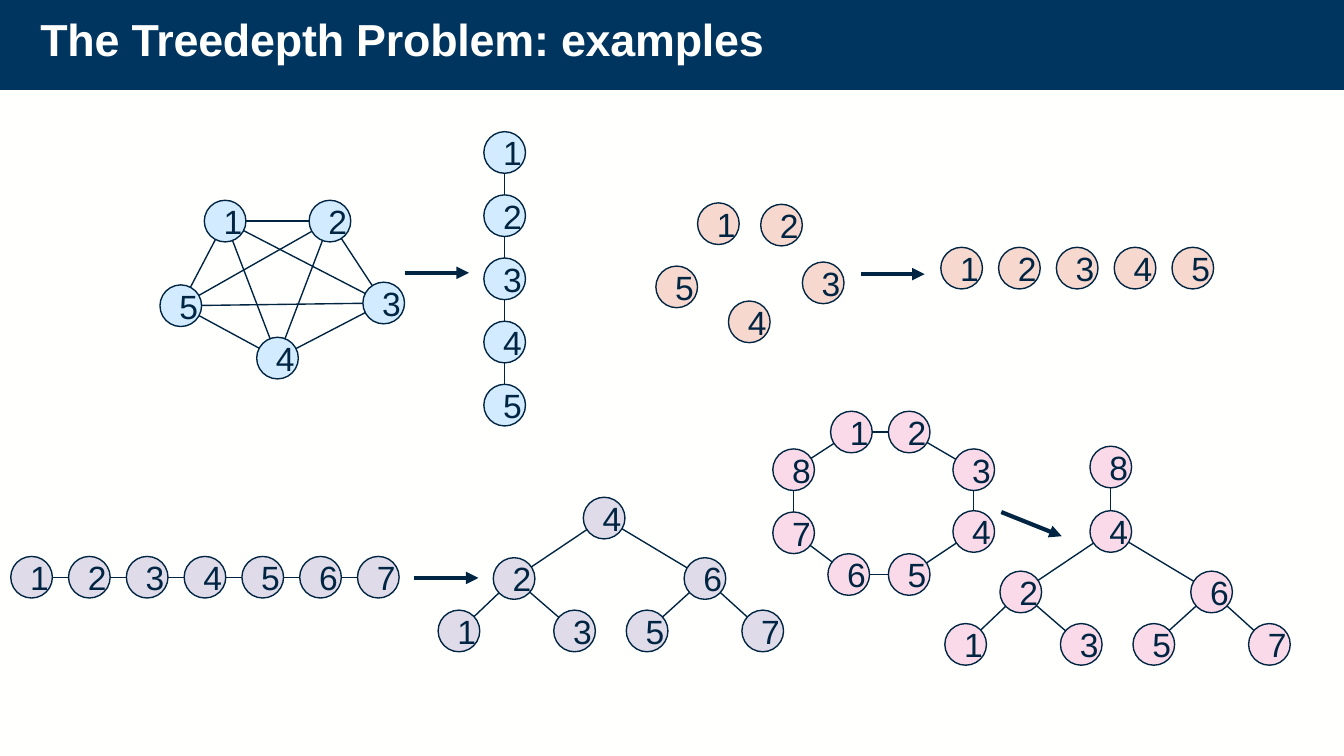
from itertools import combinations

from lxml import etree
from pptx import Presentation
from pptx.dml.color import RGBColor
from pptx.enum import shapes, text
from pptx.oxml import ns
from pptx.util import Inches, Pt

WHITE = RGBColor(0xFF, 0xFF, 0xFE)
NAVY = RGBColor(0x00, 0x35, 0x60)
INK = RGBColor(0x00, 0x25, 0x42)
BLUE = RGBColor(0xD3, 0xEB, 0xFF)
PEACH = RGBColor(0xF7, 0xD8, 0xCF)
LILAC = RGBColor(0xDF, 0xDB, 0xE9)
PINK = RGBColor(0xFA, 0xDA, 0xE8)

TITLE = "The Treedepth Problem: examples"
FONT = "Arial"
NODE_SIZE = 0.31
ROW_STEP = 0.43
STACK_STEP = 0.47

# Node positions are the top left corners of the circles, by label.
CLIQUE = {1: (1.52, 1.49), 2: (2.3, 1.49), 3: (2.7, 2.1), 4: (1.91, 2.51), 5: (1.19, 2.12)}
ISOLATED = {1: (5.19, 1.51), 2: (5.66, 1.52), 3: (5.97, 1.95), 4: (5.42, 2.24), 5: (4.88, 1.98)}
CYCLE = {1: (6.18, 3.06), 2: (6.61, 3.06), 3: (7.09, 3.34), 4: (7.09, 3.8),
         5: (6.61, 4.12), 6: (6.16, 4.12), 7: (5.75, 3.81), 8: (5.75, 3.34)}
TREE = {1: (0, 0.84), 2: (0.41, 0.45), 3: (0.86, 0.84), 4: (1.08, 0),
        5: (1.4, 0.84), 6: (1.83, 0.45), 7: (2.26, 0.84)}
TREE_EDGES = [(4, 2), (4, 6), (2, 1), (2, 3), (6, 5), (6, 7)]

ARROWS = [
    ((3.01, 2.03), (3.49, 2.03)),
    ((6.41, 2.04), (6.88, 2.04)),
    ((3.08, 4.3), (3.56, 4.3)),
    ((7.45, 3.81), (7.9, 3.99)),
]


def line_up(count, left, top, step_x=0.0, step_y=0.0):
    return {i + 1: (left + i * step_x, top + i * step_y) for i in range(count)}


def chain(count):
    return [(i, i + 1) for i in range(1, count)]


def tree_at(left, top):
    return {label: (left + x, top + y) for label, (x, y) in TREE.items()}


GRAPHS = [  # nodes, edges, fill
    (CLIQUE, list(combinations(CLIQUE, 2)), BLUE),
    (line_up(5, 3.6, 0.98, step_y=STACK_STEP), chain(5), BLUE),
    (ISOLATED, [], PEACH),
    (line_up(5, 7, 1.84, step_x=ROW_STEP), [], PEACH),
    (line_up(7, 0.08, 4.14, step_x=ROW_STEP), chain(7), LILAC),
    (tree_at(3.26, 3.7), TREE_EDGES, LILAC),
    (CYCLE, chain(8) + [(8, 1)], PINK),
    ({**tree_at(7.03, 3.8), 8: (8.11, 3.32)}, [(8, 4)] + TREE_EDGES, PINK),
]


def add_line(parent, start, end, width):
    line = parent.add_connector(shapes.MSO_CONNECTOR.STRAIGHT,
                                *(Inches(value) for value in (*start, *end)))
    line.line.color.rgb = INK
    line.line.width = Pt(width)
    etree.SubElement(line.element.spPr, ns.qn("a:effectLst"))
    return line


def add_arrow(parent, start, end):
    arrow = add_line(parent, start, end, 2.25)
    outline = arrow.element.spPr.find(ns.qn("a:ln"))
    etree.SubElement(outline, ns.qn("a:tailEnd"), type="triangle")


def add_node(parent, label, position, fill):
    left, top = position
    node = parent.add_shape(shapes.MSO_SHAPE.OVAL, Inches(left), Inches(top),
                            Inches(NODE_SIZE), Inches(NODE_SIZE))
    node.shadow.inherit = False
    node.fill.solid()
    node.fill.fore_color.rgb = fill
    node.line.color.rgb = INK
    node.line.width = Pt(0.75)
    node.text_frame.vertical_anchor = text.MSO_ANCHOR.MIDDLE
    paragraph = node.text_frame.paragraphs[0]
    paragraph.alignment = text.PP_ALIGN.CENTER
    run = paragraph.add_run()
    run.text = str(label)
    run.font.name = FONT
    run.font.size = Pt(18)
    run.font.color.rgb = INK


def add_graph(slide, nodes, edges, fill):
    group = slide.shapes.add_group_shape().shapes
    centers = {label: (x + NODE_SIZE / 2, y + NODE_SIZE / 2)
               for label, (x, y) in nodes.items()}
    for start, end in edges:
        add_line(group, centers[start], centers[end], 0.75)
    for label, position in nodes.items():
        add_node(group, label, position, fill)


def add_title(slide):
    title = slide.shapes.title
    title.left, title.top = Inches(0.2), Inches(0.08)
    title.width, title.height = Inches(7.17), Inches(0.55)
    frame = title.text_frame
    frame.auto_size = text.MSO_AUTO_SIZE.NONE
    frame.word_wrap = True
    frame.vertical_anchor = text.MSO_ANCHOR.TOP
    paragraph = frame.paragraphs[0]
    paragraph.alignment = text.PP_ALIGN.LEFT
    paragraph.line_spacing = 0.9
    paragraph.space_before = Pt(0)
    run = paragraph.add_run()
    run.text = TITLE
    run.font.name = FONT
    run.font.size = Pt(24)
    run.font.bold = True
    run.font.color.rgb = WHITE
    run.font._element.set("spc", "-10")

    band = slide.shapes.add_shape(shapes.MSO_SHAPE.RECTANGLE, Inches(0), Inches(-0.1),
                                  Inches(10.04), Inches(0.77))
    band.shadow.inherit = False
    band.fill.solid()
    band.fill.fore_color.rgb = NAVY
    band.line.fill.background()
    title.element.addprevious(band.element)


def main():
    presentation = Presentation()
    presentation.slide_width = Inches(10)
    presentation.slide_height = presentation.slide_width * 9 // 16
    slide = presentation.slides.add_slide(presentation.slide_layouts[5])
    slide.background.fill.solid()
    slide.background.fill.fore_color.rgb = WHITE
    add_title(slide)
    for nodes, edges, fill in GRAPHS:
        add_graph(slide, nodes, edges, fill)
    for start, end in ARROWS:
        add_arrow(slide.shapes, start, end)
    presentation.save("out.pptx")


if __name__ == "__main__":
    main()
